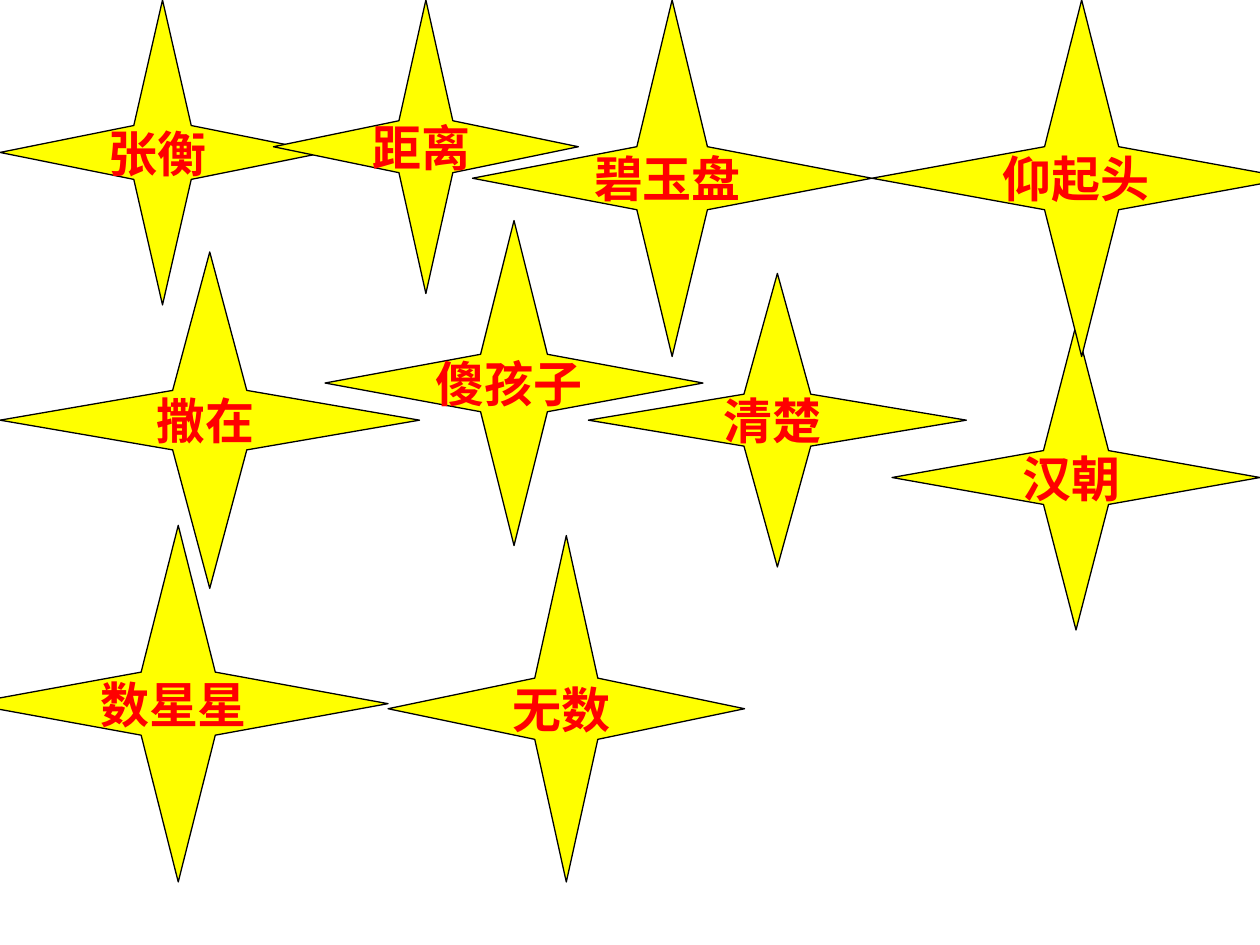
import pptx
import pptx.dml.color
import pptx.enum.text
import pptx.oxml.ns
import pptx.util
from lxml import etree
from pptx.util import Inches

COLORS = {"star": "FFFF00", "outline": "000000", "word": "FF0000", "space": "000000"}
CJK = "Noto Sans CJK SC"
LATIN = "Times New Roman"
INNER = 0.0884  # inner corner offset from the centre, as a share of the size

# word, font, left, top, width, height; from back to front
STARS = [
    ("张衡", LATIN, 0, 0, 2.58, 2.42),
    ("撒在", CJK, 0, 2, 3.33, 2.67),
    ("傻孩子", CJK, 2.58, 1.75, 3, 2.58),
    ("无数", CJK, 3.08, 4.25, 2.83, 2.75),
    ("清楚", CJK, 4.67, 2.17, 3, 2.33),
    ("汉朝", CJK, 7.08, 2.58, 2.92, 2.42),
    ("数星星", CJK, -0.25, 4.17, 3.33, 2.83),
    ("距离", CJK, 2.17, 0, 2.42, 2.33),
    ("仰起头 ", CJK, 6.92, 0, 3.33, 2.83),
    ("碧玉盘", CJK, 3.75, 0, 3.17, 2.83),
]


def rgb(name):
    return pptx.dml.color.RGBColor.from_string(COLORS[name])


def add_run(p, text, font, size, color, bold):
    r = p.add_run()
    r.text = text
    r.font.name = font
    r.font.size = pptx.util.Pt(size)
    r.font.bold = bold
    r.font.color.rgb = rgb(color)
    if font == CJK:
        ea = etree.SubElement(r.font._element, pptx.oxml.ns.qn("a:ea"))
        ea.set("typeface", font)


def add_star(s, left, top, width, height):
    """Draw a four-pointed star that fills the given box."""
    cx, cy = left + width / 2, top + height / 2
    dx, dy = width * INNER, height * INNER
    points = [
        (left, cy), (cx - dx, cy - dy), (cx, top), (cx + dx, cy - dy),
        (left + width, cy), (cx + dx, cy + dy), (cx, top + height), (cx - dx, cy + dy),
    ]
    corners = [(Inches(x), Inches(y)) for x, y in points]
    builder = s.shapes.build_freeform(*corners[0])
    builder.add_line_segments(corners[1:], close=True)
    sp = builder.convert_to_shape()
    sp.shadow.inherit = False
    sp.fill.solid()
    sp.fill.fore_color.rgb = rgb("star")
    sp.line.color.rgb = rgb("outline")
    sp.line.width = pptx.util.Pt(0.75)
    return sp


def add_word(sp, word, font):
    tf = sp.text_frame
    tf.word_wrap = False
    tf.vertical_anchor = pptx.enum.text.MSO_ANCHOR.MIDDLE
    p = tf.paragraphs[0]
    p.alignment = pptx.enum.text.PP_ALIGN.CENTER
    add_run(p, word, font, 28, "word", True)
    if not word.endswith(" "):
        add_run(p, " ", LATIN, 24, "space", False)


def main():
    prs = pptx.Presentation()
    prs.slide_width, prs.slide_height = Inches(10), Inches(7.5)
    s = prs.slides.add_slide(prs.slide_layouts[6])
    for word, font, *box in STARS:
        add_word(add_star(s, *box), word, font)
    prs.save("out.pptx")


if __name__ == "__main__":
    main()
